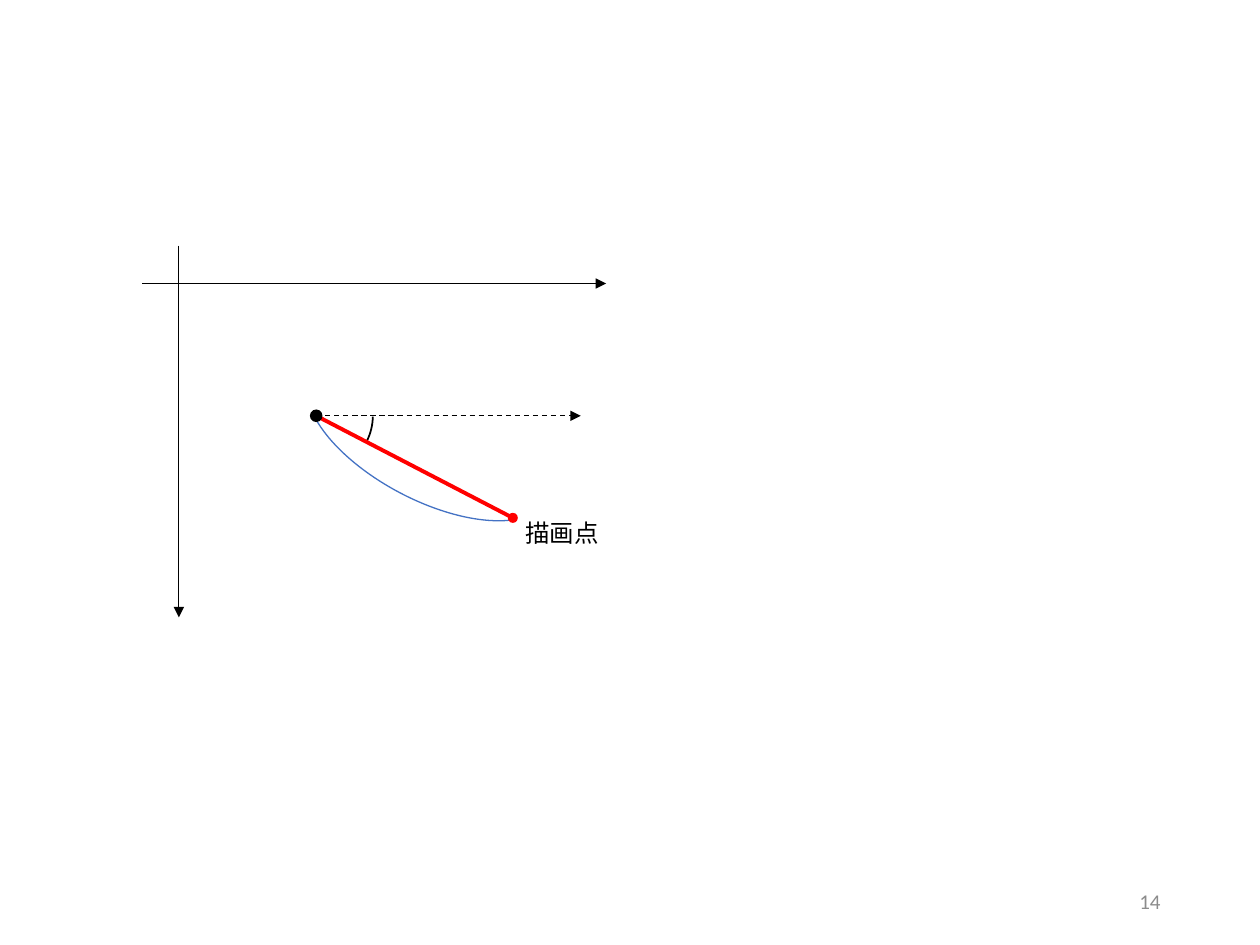
from dataclasses import dataclass

from pptx import Presentation
from pptx.dml.color import RGBColor
from pptx.enum.dml import MSO_LINE
from pptx.enum.shapes import MSO_CONNECTOR, MSO_SHAPE
from pptx.enum.text import MSO_ANCHOR, MSO_AUTO_SIZE, PP_ALIGN
from pptx.oxml.ns import qn
from pptx.slide import Slide
from pptx.util import Inches, Length, Pt
from lxml import etree

ARC, OVAL = MSO_SHAPE.ARC, MSO_SHAPE.OVAL
STRAIGHT = MSO_CONNECTOR.STRAIGHT
DASH = MSO_LINE.DASH
LEFT, RIGHT = PP_ALIGN.LEFT, PP_ALIGN.RIGHT
TOP, MIDDLE = MSO_ANCHOR.TOP, MSO_ANCHOR.MIDDLE
FIT_SHAPE, NO_FIT = MSO_AUTO_SIZE.SHAPE_TO_FIT_TEXT, MSO_AUTO_SIZE.NONE

# The slide is a grid of 100 columns by 75 rows of square cells.
COLUMNS, ROWS = 100, 75
CELL = Inches(0.1)
ADJUSTMENT_PER_DEGREE = 0.6


@dataclass(frozen=True)
class Theme:
    font: str = "Calibri"
    ink: str = "000000"
    red: str = "FF0000"
    blue: str = "4472C4"
    grey: str = "8C8C8C"
    label_size: float = 14
    number_size: float = 12


@dataclass(frozen=True)
class Point:
    column: float
    row: float


@dataclass(frozen=True)
class Line:
    start: Point
    end: Point
    color: str
    width: float
    arrow: bool = False
    dashed: bool = False


@dataclass(frozen=True)
class Arc:
    center: Point
    columns: float
    rows: float
    start_degrees: float
    end_degrees: float
    color: str
    width: float
    rotation: float = 0


@dataclass(frozen=True)
class Dot:
    center: Point
    diameter: float
    color: str


THEME = Theme()
ORIGIN = Point(25.1, 33)
DRAWN = Point(40.7, 41.1)

ARCS = (
    Arc(ORIGIN, 9, 9, 0.9, 26.15, THEME.ink, 1),
    Arc(Point(34.1, 34.65), 21.4, 10.1, 18.52, 161.45, THEME.blue, 0.75, rotation=27.7),
)
LINES = (
    Line(Point(11.3, 22.5), Point(48.1, 22.5), THEME.ink, 0.5, arrow=True),
    Line(Point(14.2, 19.5), Point(14.2, 49), THEME.ink, 0.5, arrow=True),
    Line(ORIGIN, DRAWN, THEME.red, 2.25),
    Line(ORIGIN, Point(46.1, ORIGIN.row), THEME.ink, 0.75, arrow=True, dashed=True),
)
DOTS = (Dot(ORIGIN, 1, THEME.ink), Dot(DRAWN, 0.8, THEME.red))


def cells(count: float) -> Length:
    return Length(round(count * CELL))


def add_centered(slide: Slide, kind: MSO_SHAPE, center: Point, columns: float, rows: float):
    shape = slide.shapes.add_shape(
        kind,
        cells(center.column - columns / 2),
        cells(center.row - rows / 2),
        cells(columns),
        cells(rows),
    )
    shape.shadow.inherit = False
    return shape


def draw_arc(slide: Slide, arc: Arc) -> None:
    shape = add_centered(slide, ARC, arc.center, arc.columns, arc.rows)
    shape.adjustments[0] = arc.start_degrees * ADJUSTMENT_PER_DEGREE
    shape.adjustments[1] = arc.end_degrees * ADJUSTMENT_PER_DEGREE
    shape.rotation = arc.rotation
    shape.fill.background()
    shape.line.color.rgb = RGBColor.from_string(arc.color)
    shape.line.width = Pt(arc.width)


def draw_dot(slide: Slide, dot: Dot) -> None:
    shape = add_centered(slide, OVAL, dot.center, dot.diameter, dot.diameter)
    shape.fill.solid()
    shape.fill.fore_color.rgb = RGBColor.from_string(dot.color)
    shape.line.fill.background()


def draw_line(slide: Slide, line: Line) -> None:
    connector = slide.shapes.add_connector(
        STRAIGHT,
        cells(line.start.column),
        cells(line.start.row),
        cells(line.end.column),
        cells(line.end.row),
    )
    connector.line.color.rgb = RGBColor.from_string(line.color)
    connector.line.width = Pt(line.width)
    if line.dashed:
        connector.line.dash_style = DASH
    properties = connector.element.spPr
    if line.arrow:
        etree.SubElement(properties.find(qn("a:ln")), qn("a:tailEnd"), type="triangle")
    etree.SubElement(properties, qn("a:effectLst"))


def add_text(
    slide: Slide,
    text: str,
    *,
    corner: Point,
    columns: float,
    rows: float,
    size: float,
    color: str,
    align: PP_ALIGN = LEFT,
    anchor: MSO_ANCHOR = TOP,
    tight: bool = False,
) -> None:
    """Add a text box; a tight one has no margins, does not wrap and grows."""
    box = slide.shapes.add_textbox(
        cells(corner.column), cells(corner.row), cells(columns), cells(rows)
    )
    frame = box.text_frame
    frame.word_wrap = not tight
    frame.auto_size = FIT_SHAPE if tight else NO_FIT
    frame.vertical_anchor = anchor
    if tight:
        frame.margin_left = frame.margin_right = 0
        frame.margin_top = frame.margin_bottom = 0
    para = frame.paragraphs[0]
    para.alignment = align
    span = para.add_run()
    span.text = text
    span.font.name = THEME.font
    span.font.size = Pt(size)
    span.font.color.rgb = RGBColor.from_string(color)


def main() -> None:
    deck = Presentation()
    deck.slide_width, deck.slide_height = cells(COLUMNS), cells(ROWS)
    page = deck.slides.add_slide(deck.slide_layouts[6])
    for arc in ARCS:
        draw_arc(page, arc)
    add_text(
        page, "14", corner=Point(70.6, 69.5), columns=22.5, rows=4,
        size=THEME.number_size, color=THEME.grey, align=RIGHT, anchor=MIDDLE,
    )
    for line in LINES:
        draw_line(page, line)
    for dot in DOTS:
        draw_dot(page, dot)
    add_text(
        page, "描画点", corner=Point(41.7, 41.1), columns=5.9, rows=2.4,
        size=THEME.label_size, color=THEME.ink, tight=True,
    )
    deck.save("out.pptx")


if __name__ == "__main__":
    main()
